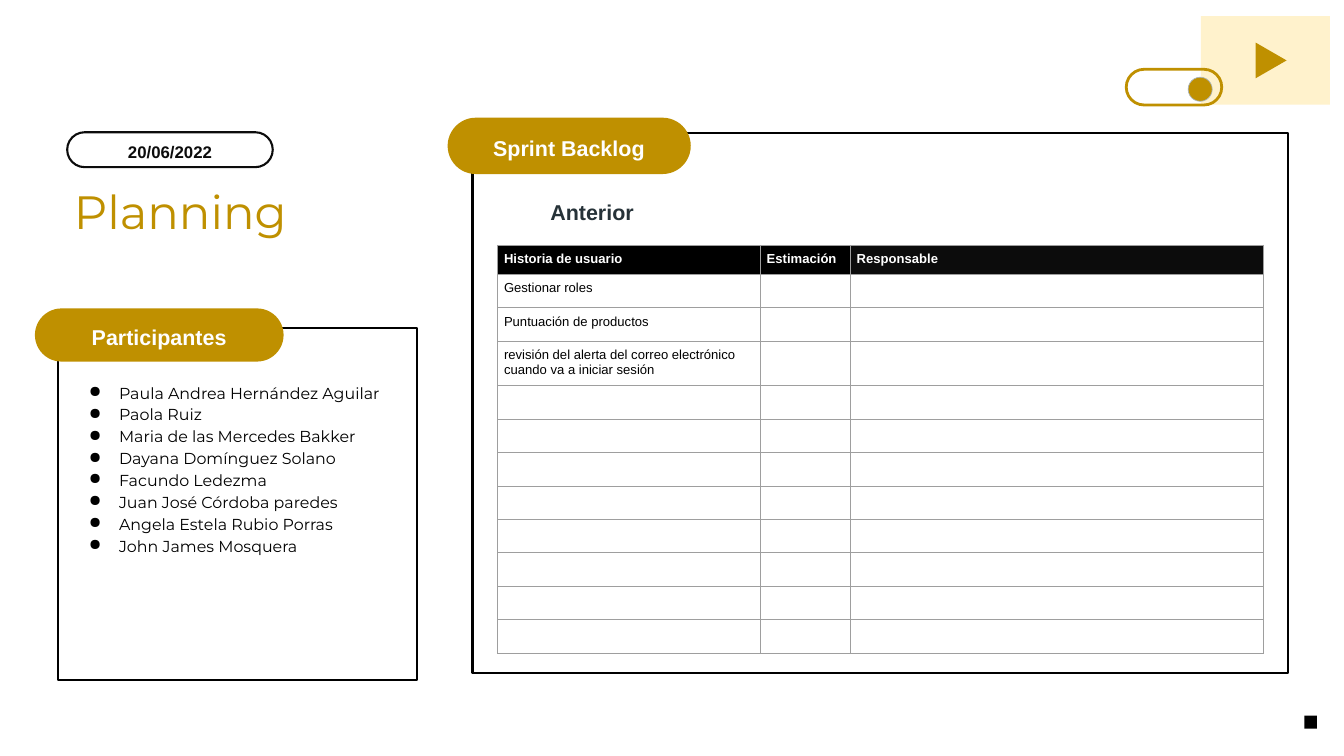
"""Build the sprint planning slide with its members and backlog table."""
from dataclasses import dataclass

from lxml.etree import SubElement
from pptx import Presentation
from pptx.dml.color import RGBColor
from pptx.enum.shapes import MSO_SHAPE as Form
from pptx.enum.text import MSO_ANCHOR, PP_ALIGN
from pptx.oxml import parse_xml
from pptx.oxml.ns import nsdecls, qn
from pptx.util import Cm, Pt


@dataclass(frozen=True)
class Theme:
    gold: str = "BF9000"
    cream: str = "FFF2CC"
    black: str = "000000"
    ink: str = "0C0C0C"
    slate: str = "263238"
    white: str = "FFFFFF"
    ring: str = "ABB4B7"
    grid: str = "9E9E9E"
    sans: str = "Arial"
    round: str = "Montserrat"
    title: int = 50
    head: int = 23
    date: int = 18
    list: int = 17
    cell: int = 14


class Deck:
    def __init__(self, theme):
        self.theme = theme
        self.file = Presentation()
        self.file.slide_width, self.file.slide_height = Cm(50.8), Cm(28.58)
        self.slide = self.file.slides.add_slide(self.file.slide_layouts[6])

    def phrase(self, para, words, size, color, face=None, bold=False):
        run = para.add_run()
        run.text = words
        style = {"name": face or self.theme.sans, "size": Pt(size), "bold": bold}
        for key, value in style.items():
            setattr(run.font, key, value)
        run.font.color.rgb = RGBColor.from_string(color)

    def shape(self, form, box, fill=None, line=None, width=2.25, bend=None, turn=0):
        item = self.slide.shapes.add_shape(form, *map(Cm, box))
        item.shadow.inherit = False
        item.rotation = turn
        if bend is not None:
            for spot in range(len(item.adjustments)):
                item.adjustments[spot] = bend
        for part, color in ((item.fill, fill), (item.line.fill, line)):
            if color:
                part.solid()
                part.fore_color.rgb = RGBColor.from_string(color)
            else:
                part.background()
        if line:
            item.line.width = Pt(width)

    def pill(self, box, **look):
        self.shape(Form.ROUNDED_RECTANGLE, box, bend=0.5, **look)

    def panel(self, box):
        self.shape(Form.ROUND_2_SAME_RECTANGLE, box, line=self.theme.black, bend=0)

    def text(self, box, lines, size, color, face=None, bold=False, inset=0,
             align=PP_ALIGN.CENTER, space=1.1, anchor=MSO_ANCHOR.TOP, dots=False):
        frame = self.slide.shapes.add_textbox(*map(Cm, box)).text_frame
        form = {"word_wrap": True, "vertical_anchor": anchor}
        form |= {f"margin_{side}": Cm(inset) for side in ("left", "top", "right", "bottom")}
        for key, value in form.items():
            setattr(frame, key, value)
        for rank, words in enumerate(lines):
            para = frame.add_paragraph() if rank else frame.paragraphs[0]
            para.alignment, para.line_spacing = align, space
            self.phrase(para, words, size, color, face, bold)
            if dots:
                self.dot(para, color)

    def dot(self, para, color):
        props = para._p.get_or_add_pPr()
        props.set("marL", str(Cm(1.27)))
        props.set("indent", str(Cm(-1.14)))
        tint = SubElement(props, qn("a:buClr"))
        SubElement(tint, qn("a:srgbClr")).set("val", color)
        SubElement(props, qn("a:buChar")).set("char", "●")

    def label(self, box, words, color):
        self.text(box, [words], self.theme.head, color, bold=True)

    def edge(self, cell):
        props = cell._tc.get_or_add_tcPr()
        for rank, side in enumerate(("lnL", "lnR", "lnT", "lnB")):
            props.insert(rank, parse_xml(
                f'<a:{side} {nsdecls("a")} w="{Pt(0.75)}"><a:solidFill>'
                f'<a:srgbClr val="{self.theme.grid}"/></a:solidFill></a:{side}>'))

    def table(self, spot, wide, tall, count, heads, tasks):
        theme = self.theme
        size = (sum(wide), tall * count)
        grid = self.slide.shapes.add_table(count, len(wide), *map(Cm, spot + size)).table
        grid.first_row = grid.horz_banding = False
        for col, width in zip(grid.columns, wide):
            col.width = Cm(width)
        for row in grid.rows:
            row.height = Cm(tall)
            for cell in row.cells:
                for side in ("left", "top", "right", "bottom"):
                    setattr(cell, f"margin_{side}", Cm(0.25))
                cell.fill.background()
                self.edge(cell)
        for cell, (words, fill) in zip(grid.rows[0].cells, heads):
            cell.fill.solid()
            cell.fill.fore_color.rgb = RGBColor.from_string(fill)
            self.phrase(cell.text_frame.paragraphs[0], words, theme.cell, theme.white, bold=True)
        for rank, words in enumerate(tasks, 1):
            para = grid.cell(rank, 0).text_frame.paragraphs[0]
            self.phrase(para, words, theme.cell, theme.black)


TEAM = [
    "Paula Andrea Hernández Aguilar",
    "Paola Ruiz",
    "Maria de las Mercedes Bakker",
    "Dayana Domínguez Solano",
    "Facundo Ledezma",
    "Juan José Córdoba paredes",
    "Angela Estela Rubio Porras",
    "John James Mosquera",
]
TASKS = [
    "Gestionar roles",
    "Puntuación de productos",
    "revisión del alerta del correo electrónico cuando va a iniciar sesión",
]


def main():
    theme = Theme()
    deck = Deck(theme)
    deck.shape(Form.RECTANGLE, (49.3, 27.05, 0.48, 0.5), fill=theme.black)
    deck.text((2.54, 6.91, 10.08, 2.13), ["Planning"], theme.title, theme.gold,
              face=theme.round, inset=0.25, align=PP_ALIGN.LEFT, space=1.0,
              anchor=MSO_ANCHOR.MIDDLE)

    deck.panel((2.21, 12.4, 13.54, 13.31))
    deck.pill((1.32, 11.66, 9.4, 2.01), fill=theme.gold)
    deck.label((2.72, 12.17, 6.6, 0.99), "Participantes", theme.white)
    deck.text((3.23, 14.38, 11.81, 11.23), TEAM, theme.list, theme.black,
              face=theme.round, align=PP_ALIGN.LEFT, space=1.15, dots=True)

    deck.panel((17.86, 5.03, 30.84, 20.42))
    deck.pill((16.92, 4.45, 9.19, 2.13), fill=theme.gold)
    deck.label((18.21, 5, 6.6, 0.99), "Sprint Backlog", theme.white)
    heads = [("Historia de usuario", theme.black), ("Estimación", theme.black),
             ("Responsable", theme.ink)]
    deck.table((18.8, 9.27), (9.93, 3.4, 15.62), 0.91, 12, heads, TASKS)

    deck.pill((2.54, 5, 7.77, 1.32), fill=theme.white, line=theme.ink)
    deck.text((2.97, 5.03, 6.91, 1.27), ["20/06/2022"], theme.date, theme.ink,
              bold=True, inset=0.25)

    deck.shape(Form.RECTANGLE, (45.39, 0.61, 4.88, 3.35), fill=theme.cream)
    deck.shape(Form.ISOSCELES_TRIANGLE, (47.37, 1.7, 1.35, 1.17), fill=theme.gold, turn=90)
    deck.pill((42.57, 2.62, 3.61, 1.35), line=theme.gold, width=3)
    deck.shape(Form.OVAL, (44.91, 2.92, 0.91, 0.91), fill=theme.gold, line=theme.ring, width=0.75)
    deck.label((19.08, 7.44, 6.6, 0.99), "Anterior", theme.slate)
    deck.file.save("out.pptx")


if __name__ == "__main__":
    main()
